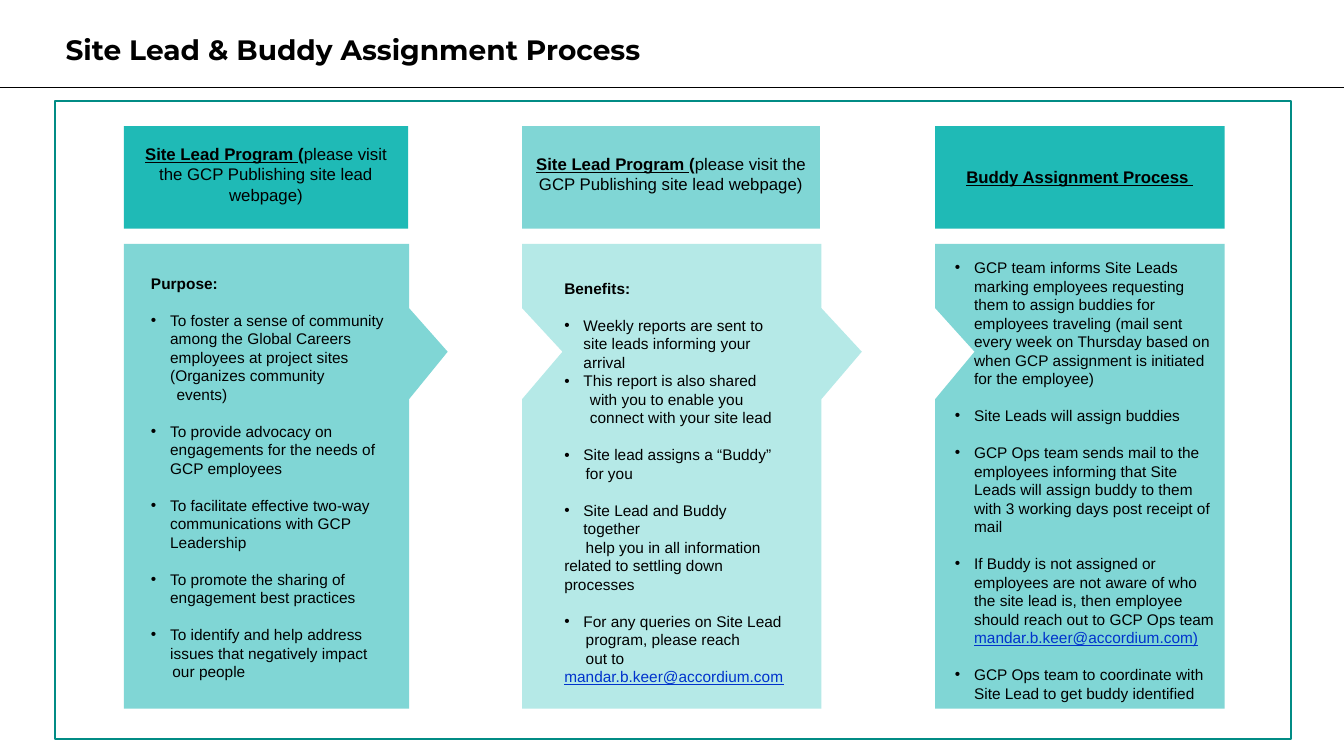
"""Builds the Site Lead and Buddy assignment slide."""
from lxml import etree
from pptx import Presentation
from pptx.dml.color import RGBColor
from pptx.enum import shapes, text
from pptx.oxml import ns
from pptx.util import Pt

HEX = {"white": "FFFFFF", "black": "000000", "frame": "018C85", "deep": "1FBAB6",
       "mid": "80D6D5", "pale": "B5E9E7", "link": "0033CC"}
TITLE = "Site Lead & Buddy Assignment Process"
MAIL = "mandar.b.keer@accordium.com"
SITE = [("Site Lead Program ", True, True), ("(", True, False),
        ("please visit the GCP Publishing site lead webpage)", False, False)]
BUDDY = [("Buddy Assignment Process ", True, True)]
DOT, HEAD = "dot", "head"
HANG, LINE = 13.7, 13.2

PURPOSE = [
    (HEAD, 0, "Purpose:", ""),
    (DOT, 1, "To foster a sense of community among the Global Careers employees "
     "at project sites (Organizes community", ""),
    (18.3, 0, "events)", ""),
    (DOT, 1, "To provide advocacy on engagements for the needs of GCP employees", ""),
    (DOT, 1, "To facilitate effective two-way communications with GCP Leadership", ""),
    (DOT, 1, "To promote the sharing of engagement best practices", ""),
    (DOT, 1, "To identify and help address issues that negatively impact", ""),
    (15.3, 0, "our people", ""),
]
GAINS = [
    (HEAD, 0, "Benefits:", ""),
    (DOT, 1, "Weekly reports are sent to site leads informing your arrival", ""),
    (DOT, 0, "This report is also shared", ""),
    (18.3, 0, "with you to enable you", ""),
    (18.3, 0, "connect with your site lead", ""),
    (DOT, 1, "Site lead assigns a “Buddy”", ""),
    (15.3, 0, "for you", ""),
    (DOT, 1, "Site Lead and Buddy together", ""),
    (15.3, 0, "help you in all information related to settling down processes", ""),
    (DOT, 1, "For any queries on Site Lead", ""),
    (15.3, 0, "program, please reach", ""),
    (15.3, 0, "out to ", MAIL),
]
STEPS = [
    (DOT, 0, "GCP team informs Site Leads marking employees requesting them to assign "
     "buddies for employees traveling (mail sent every week on Thursday based on when "
     "GCP assignment is initiated for the employee)", ""),
    (DOT, 1, "Site Leads will assign buddies", ""),
    (DOT, 1, "GCP Ops team sends mail to the employees informing that Site Leads will "
     "assign buddy to them with 3 working days post receipt of mail", ""),
    (DOT, 1, "If Buddy is not assigned or employees are not aware of who the site lead is, "
     "then employee should reach out to GCP Ops team ", MAIL + ")"),
    (DOT, 1, "GCP Ops team to coordinate with Site Lead to get buddy identified", ""),
]
COLS = [
    dict(left=88.5, right=292.3, notch=0, tip=27.5, wide=203, head=SITE, lift=4.6,
         top="deep", body="mid", items=PURPOSE, box=(100.8, 192.2, 192.2, 322.6)),
    dict(left=373, right=586.8, notch=28.8, tip=28.8, wide=212.6, head=SITE, lift=4.6,
         top="mid", body="pale", items=GAINS, box=(396, 195.8, 172, 322.6)),
    dict(left=668, right=874.8, notch=28.1, tip=0, wide=206.8, head=BUDDY, lift=1,
         top="deep", body="mid", items=STEPS, box=(675, 181, 201, 349.2)),
]
TOP, UP, MID, LOW, END = 174.2, 220.2, 251.3, 285.1, 506.2


def rgb(key):
    return RGBColor.from_string(HEX[key])


def pts(*vals):
    return [Pt(v) for v in vals]


def paint(shape, fill, line=None):
    shape.shadow.inherit = False
    shape.fill.solid()
    shape.fill.fore_color.rgb = rgb(fill)
    if line:
        shape.line.color.rgb = rgb(line)
        shape.line.width = Pt(1.5)
    else:
        shape.line.fill.background()


def style(para, size, bold=None, face="Arial"):
    font = para.font
    font.name, font.size, font.bold = face, Pt(size), bold
    font.color.rgb = rgb("black")


def write(para, kind, gap, words, link):
    if gap:
        para.space_before = Pt(gap * LINE)
    props = para._p.get_or_add_pPr()
    if kind == DOT:
        props.set("marL", str(Pt(HANG)))
        props.set("indent", str(-Pt(HANG)))
        etree.SubElement(props, ns.qn("a:buFont")).set("typeface", "Arial")
        etree.SubElement(props, ns.qn("a:buChar")).set("char", "•")
    elif kind != HEAD:
        props.set("marL", "0")
        props.set("indent", str(Pt(kind)))
    style(para, 11, kind == HEAD)
    para.add_run().text = words
    if link:
        run = para.add_run()
        run.text = link
        run.font.color.rgb = rgb("link")
        run.font.underline = True


def banner(slide, col):
    shape = slide.shapes.add_shape(shapes.MSO_SHAPE.RECTANGLE,
                                   *pts(col["left"], 90, col["wide"], 73.4))
    paint(shape, col["top"])
    frame = shape.text_frame
    frame.word_wrap = True
    frame.vertical_anchor = text.MSO_ANCHOR.MIDDLE
    frame.margin_bottom = Pt(3.6 + col["lift"])
    para = frame.paragraphs[0]
    para.alignment = text.PP_ALIGN.CENTER
    style(para, 12)
    for words, bold, under in col["head"]:
        run = para.add_run()
        run.text = words
        run.font.bold, run.font.underline = bold, under


def panel(slide, col):
    left, right = col["left"], col["right"]
    edge = [(right, TOP)]
    if col["tip"]:
        edge += [(right, UP), (right + col["tip"], MID), (right, LOW)]
    edge += [(right, END), (left, END)]
    if col["notch"]:
        edge += [(left, LOW), (left + col["notch"], MID), (left, UP)]
    path = slide.shapes.build_freeform(Pt(left), Pt(TOP), scale=1.0)
    path.add_line_segments([pts(*spot) for spot in edge], close=True)
    paint(path.convert_to_shape(), col["body"])


def notes(slide, col):
    frame = slide.shapes.add_textbox(*pts(*col["box"])).text_frame
    frame.word_wrap = True
    for num, item in enumerate(col["items"]):
        write(frame.add_paragraph() if num else frame.paragraphs[0], *item)


def main():
    deck = Presentation()
    deck.slide_width, deck.slide_height = pts(960, 540)
    slide = deck.slides.add_slide(deck.slide_layouts[5])

    title = slide.shapes.title
    title.left, title.top, title.width, title.height = pts(39.6, 19.4, 635.8, 31.7)
    title.text_frame.text = TITLE
    title.text_frame.vertical_anchor = text.MSO_ANCHOR.MIDDLE
    para = title.text_frame.paragraphs[0]
    para.alignment = text.PP_ALIGN.LEFT
    style(para, 20, True, "Montserrat")

    frame = slide.shapes.add_shape(shapes.MSO_SHAPE.RECTANGLE,
                                   *pts(39.6, 72, 882.7, 455.8))
    paint(frame, "white", "frame")
    rule = slide.shapes.add_connector(shapes.MSO_CONNECTOR.STRAIGHT,
                                      *pts(0, 62.6, 960, 62.6))
    rule.line.color.rgb = rgb("black")
    rule.line.width = Pt(0.75)
    etree.SubElement(rule._element.spPr, ns.qn("a:effectLst"))

    for col in COLS:
        panel(slide, col)
        banner(slide, col)
        notes(slide, col)
    deck.save("out.pptx")


if __name__ == "__main__":
    main()
